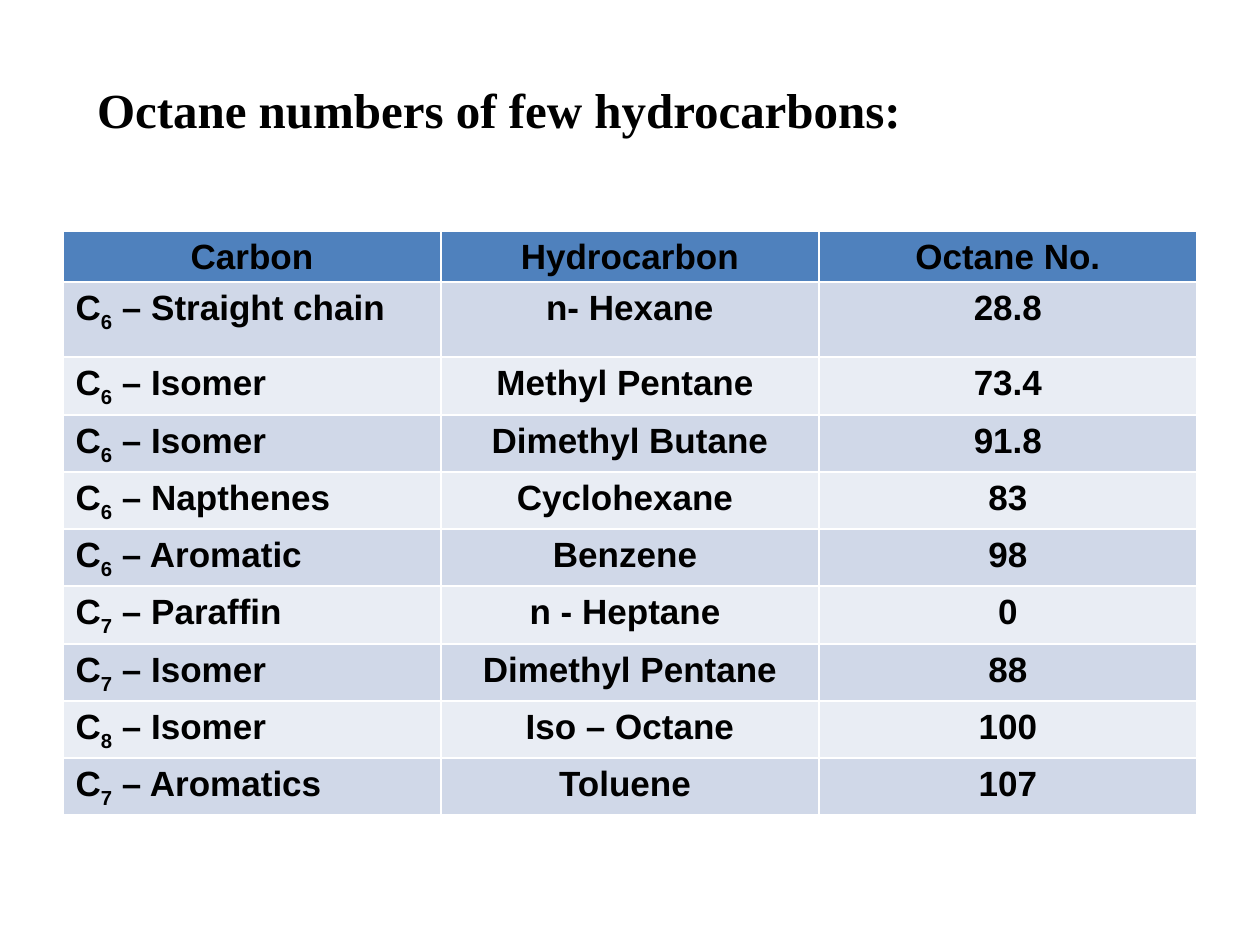
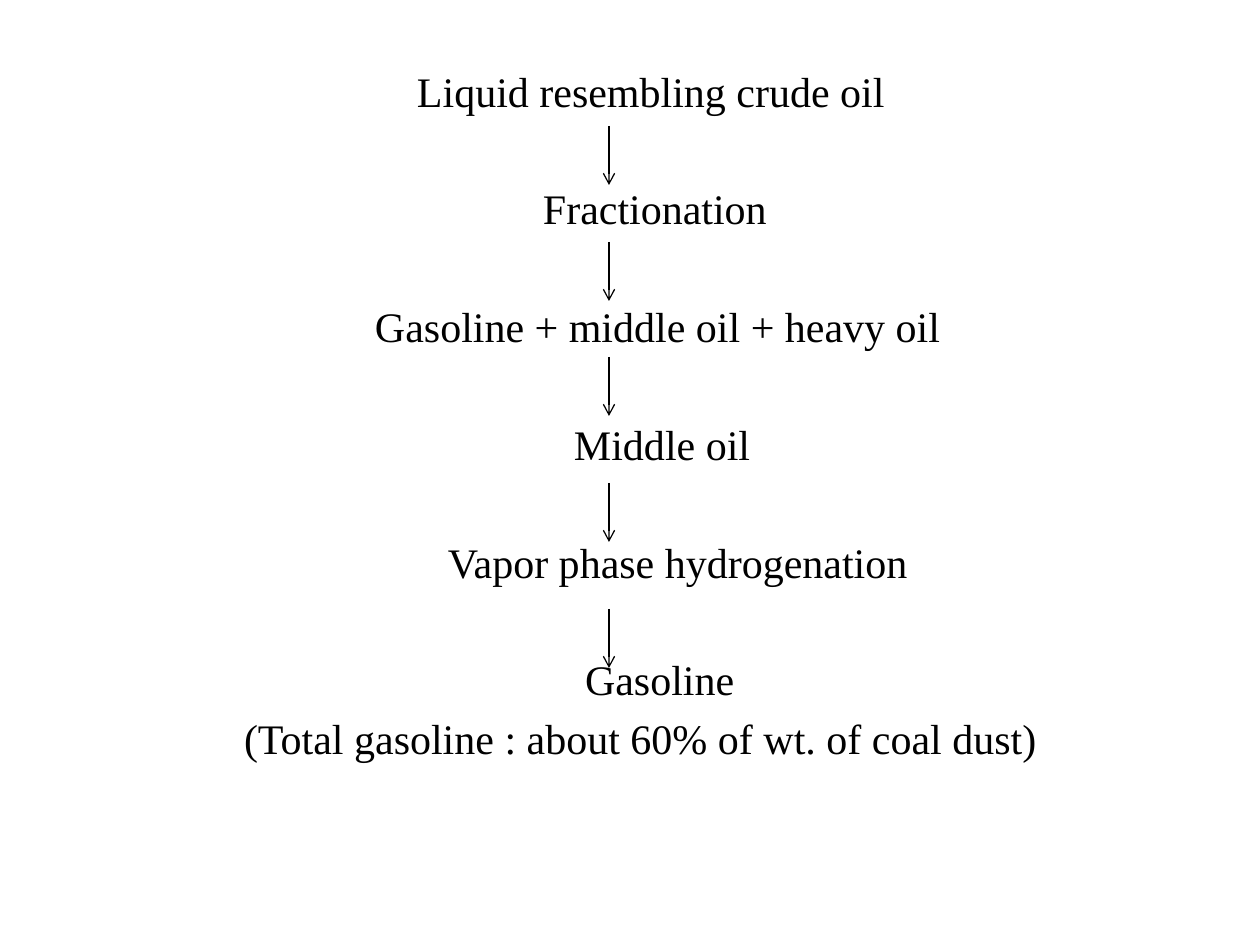
from typing import NamedTuple

import pptx
import pptx.dml.color
import pptx.enum.shapes
import pptx.enum.text
import pptx.oxml
import pptx.oxml.ns
import pptx.util
from lxml import etree

PX = 914400 // 126
BLACK = pptx.dml.color.RGBColor(0x00, 0x00, 0x00)
WHITE = pptx.dml.color.RGBColor(0xFF, 0xFF, 0xFF)
HEAD = pptx.dml.color.RGBColor(0x4F, 0x81, 0xBD)
BANDS = (
    pptx.dml.color.RGBColor(0xD0, 0xD8, 0xE8),
    pptx.dml.color.RGBColor(0xE9, 0xED, 0xF4),
)
SERIF = "Times New Roman"
SANS = "Arial"
ALIGN = pptx.enum.text.PP_ALIGN
TOP = pptx.enum.text.MSO_ANCHOR.TOP
FIXED = pptx.enum.text.MSO_AUTO_SIZE.NONE


class Fuel(NamedTuple):
    count: int
    kind: str
    name: str
    octane: str


class Step(NamedTuple):
    text: str
    left: int
    gap: float


FUELS = (
    Fuel(6, "Straight chain", "n- Hexane", "28.8"),
    Fuel(6, "Isomer", "Methyl Pentane ", "73.4"),
    Fuel(6, "Isomer", "Dimethyl Butane", "91.8"),
    Fuel(6, "Napthenes", "Cyclohexane ", "83"),
    Fuel(6, "Aromatic", "Benzene ", "98"),
    Fuel(7, "Paraffin", "n - Heptane ", "0"),
    Fuel(7, "Isomer", "Dimethyl Pentane", "88"),
    Fuel(8, "Isomer", "Iso – Octane", "100"),
    Fuel(7, "Aromatics", "Toluene ", "107"),
)
WIDE = 38.5
STEPS = (
    Step("Liquid resembling crude oil", 417, 0),
    Step("Fractionation", 543, WIDE),
    Step("Gasoline + middle oil + heavy oil", 375, WIDE),
    Step("Middle oil", 574, WIDE),
    Step("Vapor phase hydrogenation", 448, WIDE),
    Step("Gasoline", 585, WIDE),
    Step("(Total gasoline : about 60% of wt. of coal dust)", 244, 4.8),
)
ARROWS = (126, 242, 357, 483, 609)


def px(size: int) -> int:
    return size * PX


def place(shape, left: int, top: int, width: int, height: int) -> None:
    shape.left, shape.top = px(left), px(top)
    shape.width, shape.height = px(width), px(height)


def style(para, face: str, size: int, bold: bool = False) -> None:
    font = para.font
    font.name, font.size, font.bold = face, pptx.util.Pt(size), bold
    font.color.rgb = BLACK


def frame(shape, left: int, top: int):
    text = shape.text_frame
    text.word_wrap = True
    text.auto_size = FIXED
    text.vertical_anchor = TOP
    text.margin_left, text.margin_top = px(left), px(top)
    text.margin_bottom = 0
    return text


def edge(cell) -> None:
    props = cell._tc.get_or_add_tcPr()
    space = pptx.oxml.ns.nsdecls("a")
    for side in "LRTB":
        props.append(pptx.oxml.parse_xml(
            f'<a:ln{side} {space} w="12700"><a:solidFill>'
            f'<a:srgbClr val="{WHITE}"/></a:solidFill></a:ln{side}>'))


def paint(cell, parts: tuple[str, ...], fill, align) -> None:
    edge(cell)
    cell.fill.solid()
    cell.fill.fore_color.rgb = fill
    cell.vertical_anchor = TOP
    cell.margin_top, cell.margin_bottom = px(7), px(2)
    para = cell.text_frame.paragraphs[0]
    para.alignment = align
    style(para, SANS, 20, True)
    for spot, part in enumerate(parts):
        run = para.add_run()
        run.text = part
        if spot == 1:
            run._r.get_or_add_rPr().set("baseline", "-25000")


def octane(deck) -> None:
    slide = deck.slides.add_slide(deck.slide_layouts[5])
    title = slide.shapes.title
    place(title, 73, 73, 1092, 72)
    text = frame(title, 24, 6)
    text.text = "Octane numbers of few hydrocarbons:"
    para = text.paragraphs[0]
    para.alignment = ALIGN.LEFT
    style(para, SERIF, 28, True)

    high = [51, 75] + [58, 57, 57, 57] * 2
    grid = slide.shapes.add_table(
        len(high), 3, px(63), px(231), px(1134), px(sum(high))).table
    for row, size in zip(grid.rows, high):
        row.height = px(size)
    for spot, label in enumerate(("Carbon", "Hydrocarbon", "Octane No.")):
        paint(grid.cell(0, spot), (label,), HEAD, ALIGN.CENTER)
    for row, fuel in enumerate(FUELS, 1):
        fill = BANDS[(row - 1) % 2]
        paint(grid.cell(row, 0), ("C", str(fuel.count), f" – {fuel.kind}"),
              fill, ALIGN.LEFT)
        paint(grid.cell(row, 1), (fuel.name,), fill, ALIGN.CENTER)
        paint(grid.cell(row, 2), (fuel.octane,), fill, ALIGN.CENTER)


def arrow(slide, top: int) -> None:
    line = slide.shapes.add_connector(
        pptx.enum.shapes.MSO_CONNECTOR.STRAIGHT,
        px(609), px(top), px(609), px(top + 59))
    line.line.color.rgb = BLACK
    line.line.width = pptx.util.Pt(0.75)
    name = pptx.oxml.ns.qn
    etree.SubElement(line.line._get_or_add_ln(), name("a:tailEnd"), type="arrow")
    etree.SubElement(line._element.spPr, name("a:effectLst"))


def process(deck) -> None:
    slide = deck.slides.add_slide(deck.slide_layouts[1])
    title = slide.shapes.title.element
    title.getparent().remove(title)
    body = slide.placeholders[1]
    place(body, 63, 0, 1134, 945)
    inset = 13
    text = frame(body, inset, 65)
    for spot, step in enumerate(STEPS):
        para = text.add_paragraph() if spot else text.paragraphs[0]
        para.text = step.text
        para.alignment = ALIGN.LEFT
        para.space_before = pptx.util.Pt(step.gap)
        props = para._p.get_or_add_pPr()
        props.set("marL", str(px(step.left - 63 - inset)))
        props.set("indent", "0")
        etree.SubElement(props, pptx.oxml.ns.qn("a:buNone"))
        style(para, SERIF, 24)
    for top in ARROWS:
        arrow(slide, top)


def main() -> None:
    deck = pptx.Presentation()
    deck.slide_width, deck.slide_height = px(1260), px(945)
    octane(deck)
    process(deck)
    deck.save("out.pptx")


if __name__ == "__main__":
    main()
